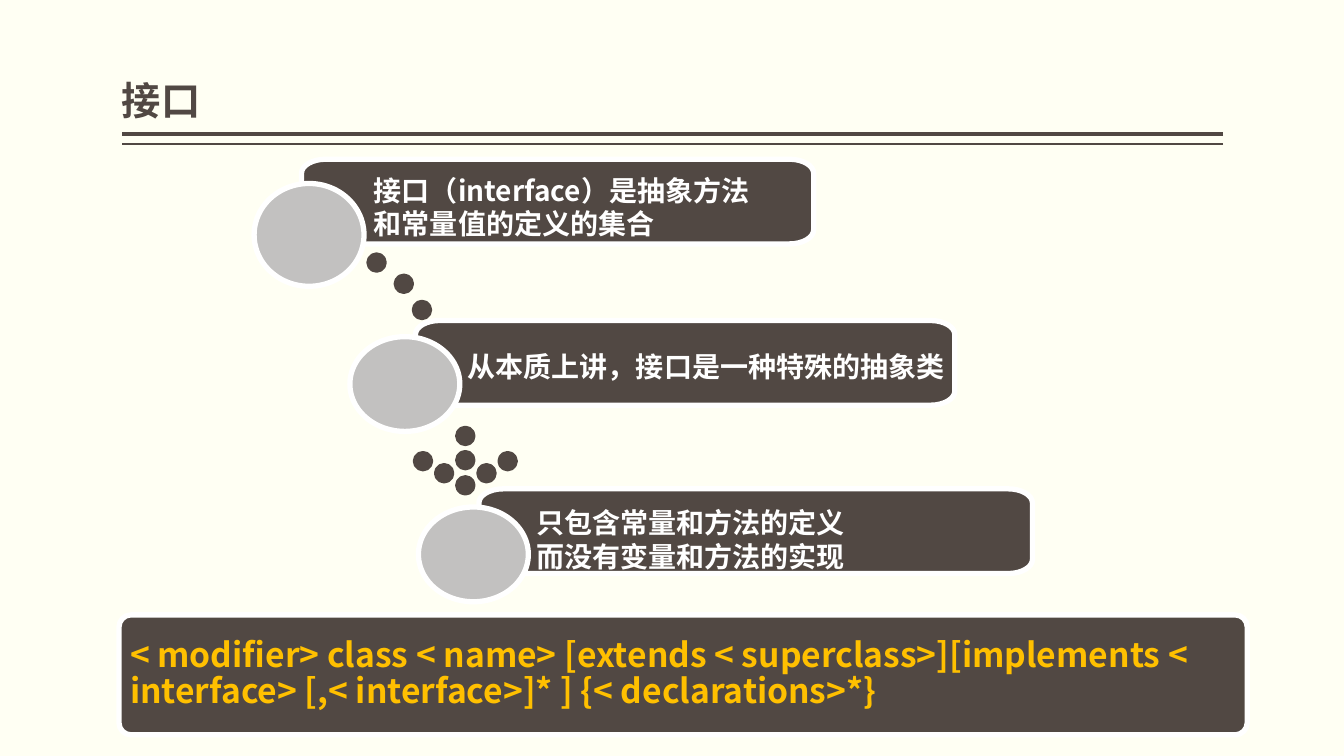
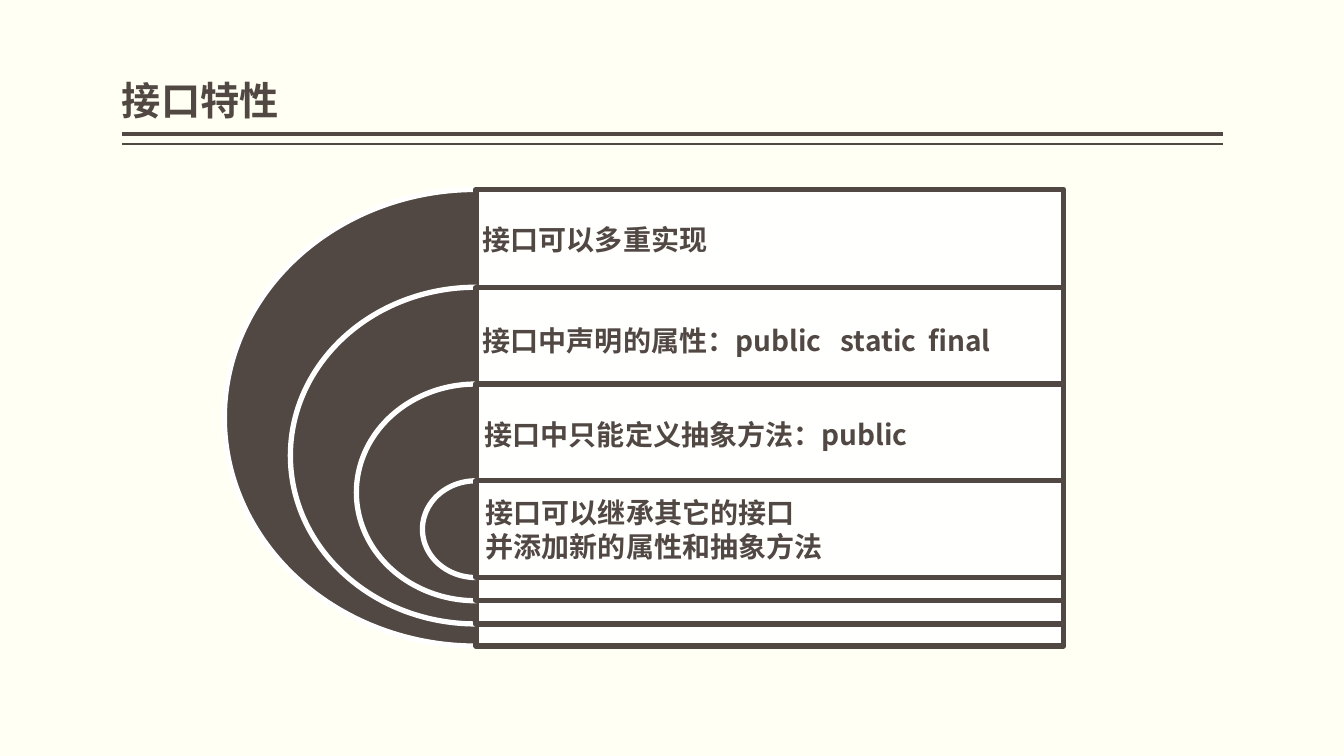
import pptx
import pptx.dml.color
import pptx.enum.shapes
import pptx.enum.text
import pptx.oxml.ns
import pptx.util
from lxml import etree

SCALE = 9144
CURVE = 0.55
FONT = "Noto Sans CJK SC"
DARK = "514843"
WHITE = "FFFFFF"
GREY = "C2C1C0"
GOLD = "FFC000"
CREAM = "FFFFF3"
OUTLINE = 3.78
Shape = pptx.enum.shapes.MSO_SHAPE
Anchor = pptx.enum.text.MSO_ANCHOR
qn = pptx.oxml.ns.qn


def px(*lengths):
    return [pptx.util.Emu(round(length * SCALE)) for length in lengths]


def colour(hex_string):
    return pptx.dml.color.RGBColor.from_string(hex_string)


def add_tabs(paragraph, stops):
    tab_list = etree.SubElement(paragraph._p.get_or_add_pPr(), qn("a:tabLst"))
    for position in px(*stops):
        etree.SubElement(tab_list, qn("a:tab"), pos=str(position), algn="l")


def write(frame, text, size=20, color=WHITE, anchor=Anchor.TOP,
          margins=(10, 5, 10, 5), spacing=1.0, tabs=()):
    frame.word_wrap = True
    frame.auto_size = pptx.enum.text.MSO_AUTO_SIZE.NONE
    frame.vertical_anchor = anchor
    (frame.margin_left, frame.margin_top,
     frame.margin_right, frame.margin_bottom) = px(*margins)
    for index, line in enumerate(text.split("\n")):
        paragraph = frame.add_paragraph() if index else frame.paragraphs[0]
        paragraph.alignment = pptx.enum.text.PP_ALIGN.LEFT
        paragraph.line_spacing = spacing
        if tabs:
            add_tabs(paragraph, tabs)
        run = paragraph.add_run()
        run.text = line
        run.font.name = FONT
        run.font.size = pptx.util.Pt(size)
        run.font.bold = True
        run.font.color.rgb = colour(color)
        east_asian = etree.SubElement(run._r.get_or_add_rPr(), qn("a:ea"))
        east_asian.set("typeface", FONT)


def bend_corners(shape):
    outline = shape._element.spPr.find(".//" + qn("a:path"))
    segments = outline.findall(qn("a:lnTo"))
    for first in range(0, len(segments), 4):
        curve = etree.Element(qn("a:cubicBezTo"))
        segments[first].addprevious(curve)
        for segment in segments[first:first + 3]:
            curve.append(segment[0])
            outline.remove(segment)


class Deck:
    def __init__(self):
        self.presentation = pptx.Presentation()
        (self.presentation.slide_width,
         self.presentation.slide_height) = px(1333, 750)
        background = self.presentation.slide_master.background.fill
        background.solid()
        background.fore_color.rgb = colour(CREAM)
        self.slide = None

    def add_slide(self, title):
        layout = self.presentation.slide_layouts[5]
        self.slide = self.presentation.slides.add_slide(layout)
        self.rule(133, 3)
        self.rule(143, 1)
        shape = self.slide.shapes.title
        shape.left, shape.top, shape.width, shape.height = px(121, 8, 1092, 120)
        write(shape.text_frame, title, size=28, color=DARK,
              anchor=Anchor.BOTTOM, margins=(0, 5, 0, 5), spacing=0.9)

    def rule(self, top, weight):
        connector = self.slide.shapes.add_connector(
            pptx.enum.shapes.MSO_CONNECTOR.STRAIGHT, *px(1213, top, 121, top))
        connector.line.color.rgb = colour(DARK)
        connector.line.width = pptx.util.Pt(weight)
        etree.SubElement(connector._element.spPr, qn("a:effectLst"))

    def paint(self, shape, fill, line, alpha=None):
        shape.shadow.inherit = False
        shape.fill.solid()
        shape.fill.fore_color.rgb = colour(fill)
        shape.line.color.rgb = colour(line)
        shape.line.width = pptx.util.Pt(OUTLINE)
        if alpha is not None:
            solid = shape._element.spPr.find(qn("a:solidFill"))
            etree.SubElement(solid[0], qn("a:alpha")).set("val", str(alpha * 1000))
        return shape

    def shape(self, kind, box, fill=DARK, line=WHITE, adjustments=(), alpha=None):
        shape = self.slide.shapes.add_shape(kind, *px(*box))
        for index, value in enumerate(adjustments):
            shape.adjustments[index] = value
        return self.paint(shape, fill, line, alpha)

    def bar(self, left, top, width, height=84, radius_x=24, radius_y=14):
        right, bottom = left + width, top + height
        corners = [
            ((left, bottom - radius_y), (left, bottom), (left + radius_x, bottom)),
            ((right - radius_x, bottom), (right, bottom), (right, bottom - radius_y)),
            ((right, top + radius_y), (right, top), (right - radius_x, top)),
            ((left + radius_x, top), (left, top), (left, top + radius_y)),
        ]
        points = []
        for start, corner, end in corners:
            handles = [[near + CURVE * (far - near) for near, far in zip(point, corner)]
                       for point in (start, end)]
            points += [px(*point) for point in (start, *handles, end)]
        builder = self.slide.shapes.build_freeform(*points[0])
        builder.add_line_segments(points[1:], close=True)
        shape = builder.convert_to_shape()
        bend_corners(shape)
        return self.paint(shape, DARK, WHITE)

    def dot(self, left, top):
        self.shape(Shape.OVAL, (left, top, 15, 15), line=DARK)

    def text(self, text, box, **style):
        text_box = self.slide.shapes.add_textbox(*px(*box))
        write(text_box.text_frame, text, **style)


def interface_slide(deck):
    deck.add_slide("接口")
    trail = [(366, 253), (393, 274), (411, 300)]
    wings = [(454 + 21 * step, 474 - 12 * abs(step)) for step in range(-2, 3)]
    shaft = [(454, 449), (454, 425)]
    for left, top in trail + wings + shaft:
        deck.dot(left, top)
    definitions = [
        ((299, 158, 508), (252, 182, 109, 102), (361, 167, 395, 73),
         "接口（interface）是抽象方法和常量值的定义的集合"),
        ((412, 318, 535), (347, 334, 109, 94), (454, 342, 569, 41),
         "从本质上讲，接口是一种特殊的抽象类"),
        ((475, 485, 549), (415, 503, 109, 94), (522, 497, 347, 73),
         "只包含常量和方法的定义而没有变量和方法的实现"),
    ]
    for bar, circle, text_box, text in definitions:
        deck.bar(*bar)
        deck.shape(Shape.OVAL, circle, fill=GREY)
        deck.text(text, text_box)
    syntax = deck.bar(118, 610, 1119, height=119, radius_x=12, radius_y=12)
    write(syntax.text_frame,
          "< modifier> class < name> [extends < superclass>]"
          "[implements < interface> [,< interface>]* ] {< declarations>*}",
          size=24, color=GOLD, anchor=Anchor.MIDDLE,
          margins=(11, 11, 11, 11), spacing=0.9)


def features_slide(deck):
    deck.add_slide("接口特性")
    axis = 472
    for level, top in enumerate((188, 285, 381, 477)):
        diameter, height = 499 - 131 * level, 453 - 119 * level
        deck.shape(Shape.PIE, (axis - diameter / 2, top, diameter, height),
                   adjustments=[54, 162])
        panel = deck.shape(Shape.RECTANGLE, (axis, top, 583, height),
                           fill=WHITE, line=DARK, alpha=90)
    write(panel.text_frame, "接口可以继承其它的接口\n并添加新的属性和抽象方法",
          color=DARK, anchor=Anchor.MIDDLE, margins=(10, 10, 10, 10))
    features = [
        (469, 215, "接口可以多重实现", ()),
        (469, 316, "接口中声明的属性：public\tstatic\tfinal", (355, 442)),
        (471, 409, "接口中只能定义抽象方法：public", ()),
    ]
    for left, top, text, tabs in features:
        deck.text(text, (left, top, 539, 44), color=DARK,
                  anchor=Anchor.MIDDLE, tabs=tabs)


def main():
    deck = Deck()
    interface_slide(deck)
    features_slide(deck)
    deck.presentation.save("out.pptx")


if __name__ == "__main__":
    main()
